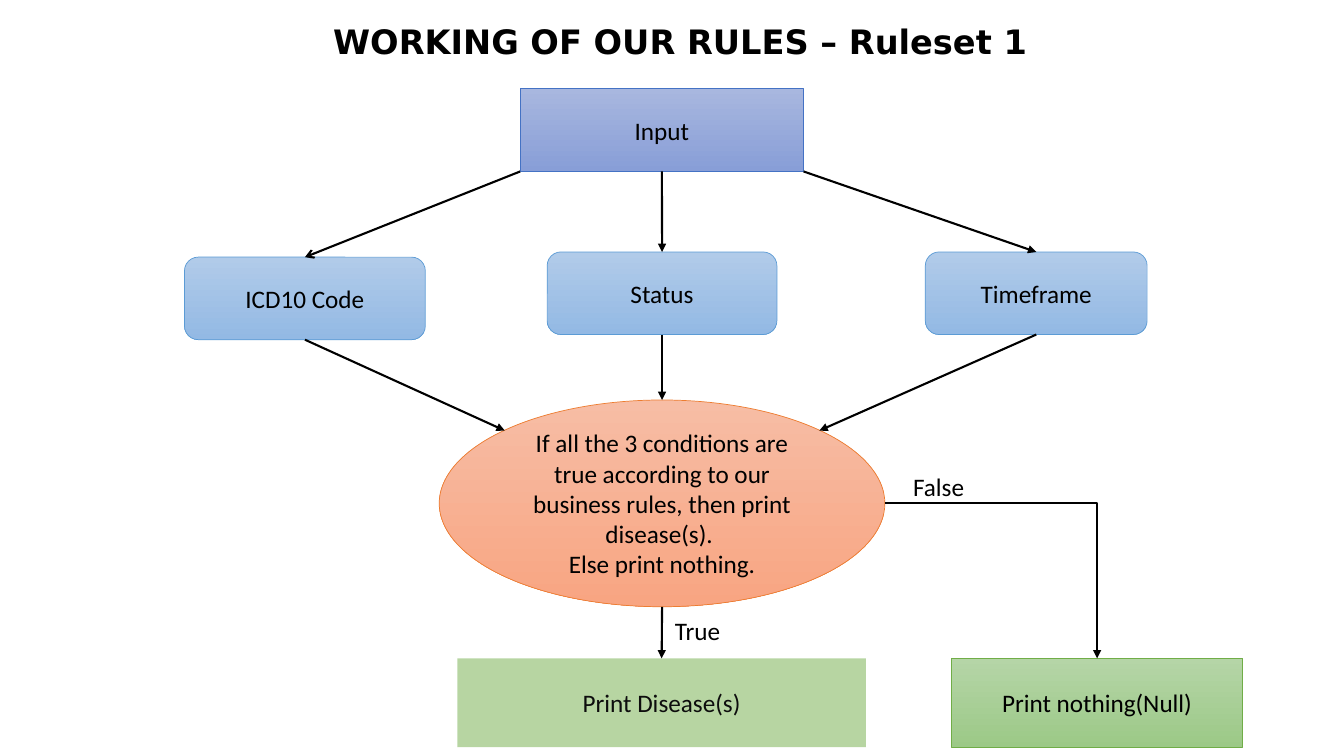
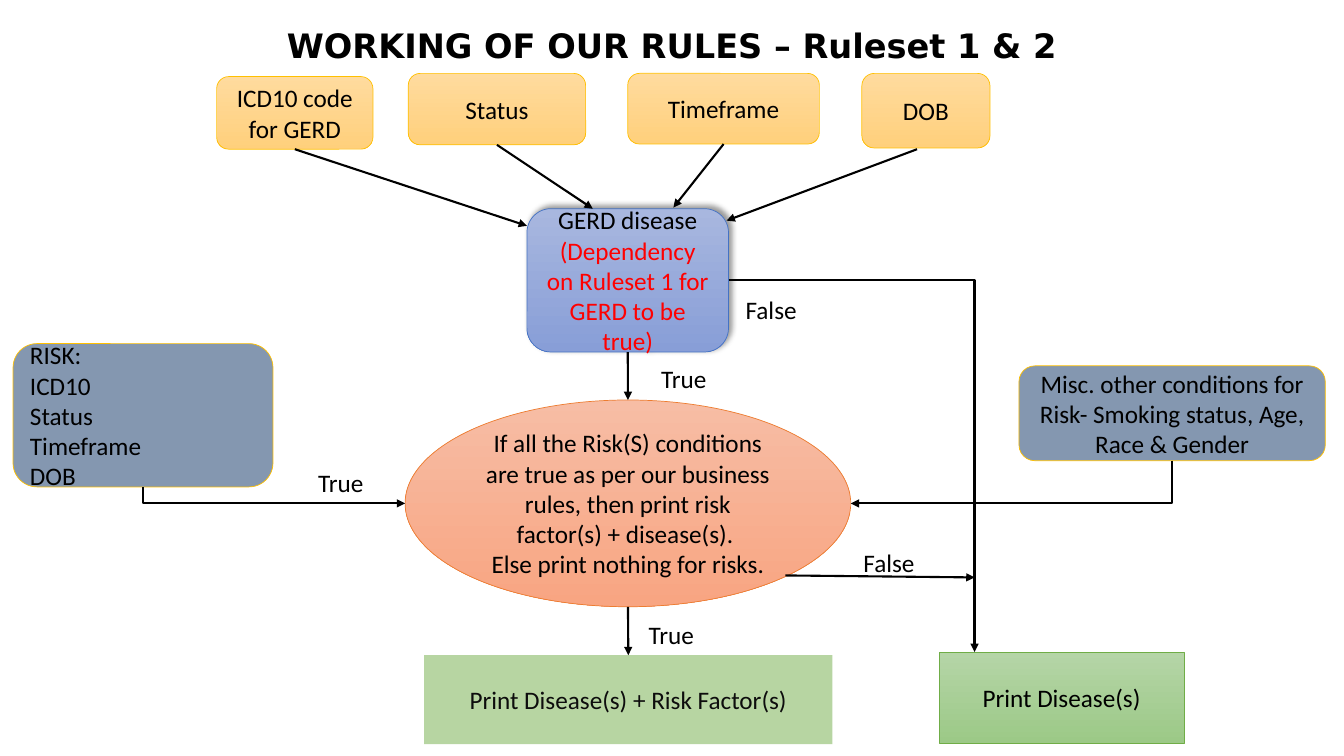
"""Build two flowchart slides that explain the rulesets."""
import lxml.etree
import pptx
import pptx.dml.color
import pptx.enum.shapes
import pptx.enum.text
import pptx.oxml.ns
import pptx.util

Cm = pptx.util.Cm
SHAPE = pptx.enum.shapes.MSO_SHAPE
ALIGN = pptx.enum.text.PP_ALIGN
BLACK = "000000"
TOP, LEFT, BOTTOM, RIGHT = range(4)
LABEL_WIDTHS = {"True": 1.68, "False": 1.8}

STYLES = {
    "input": dict(shape=SHAPE.RECTANGLE, fill=("A8B7DF", "889ED7"), line="4472C4"),
    "condition": dict(shape=SHAPE.ROUNDED_RECTANGLE, fill=("B1CBE9", "93B9E4"), line="5B9BD5"),
    "decision": dict(shape=SHAPE.OVAL, fill=("F7BDA5", "F8A582"), line="ED7D31"),
    "result": dict(shape=SHAPE.RECTANGLE, fill=("70AD47",), alpha=50, color="0D0D0D"),
    "otherwise": dict(shape=SHAPE.FLOWCHART_PROCESS, fill=("B5D5A7", "9CC987"), line="70AD47"),
    "disease": dict(shape=SHAPE.ROUNDED_RECTANGLE, fill=("A8B7DF", "889ED7"), line="4472C4",
                    shadow=True, accent="FF0000"),
    "code": dict(shape=SHAPE.ROUNDED_RECTANGLE, fill=("FFDB9E", "FFD07C"), line="FFC000"),
    "risk": dict(shape=SHAPE.ROUNDED_RECTANGLE, fill=("8497B0",), line="FFC000"),
    "list": dict(shape=SHAPE.ROUNDED_RECTANGLE, fill=("8497B0",), line="FFC000", align=ALIGN.LEFT),
}

SLIDES = [
    {
        "title": ("WORKING OF OUR RULES – Ruleset 1", (2.51, 0.08, 29.26, 2.03)),
        "boxes": {
            "icd": ("condition", "ICD10 Code", (4.65, 6.48, 6.07, 2.08)),
            "status": ("condition", "Status", (13.79, 6.35, 5.79, 2.08)),
            "timeframe": ("condition", "Timeframe", (23.32, 6.35, 5.59, 2.08)),
            "input": ("input", "Input", (13.11, 2.24, 7.14, 2.08)),
            "decision": ("decision",
                         "If all the 3 conditions are true according to our business rules, "
                         "then print disease(s). \nElse print nothing.",
                         (11.07, 10.08, 11.23, 5.21)),
            "result": ("result", "Print Disease(s)", (11.53, 16.59, 10.29, 2.24)),
            "otherwise": ("otherwise", "Print nothing(Null)", (23.98, 16.59, 7.34, 2.24)),
        },
        "labels": [("True", 16.76, 15.39), ("False", 22.76, 11.76)],
        "links": [
            ((13.11, 4.32), ("icd", TOP), "straight", "arrow"),
            (("input", BOTTOM), ("status", TOP)),
            ((20.25, 4.32), ("timeframe", TOP)),
            (("icd", BOTTOM), (12.72, 10.85)),
            (("status", BOTTOM), ("decision", TOP)),
            (("timeframe", BOTTOM), (20.65, 10.85)),
            (("decision", BOTTOM), ("result", TOP)),
            (("decision", RIGHT), ("otherwise", TOP), "across"),
        ],
    },
    {
        "title": ("WORKING OF OUR RULES – Ruleset 1 & 2", (2.26, 0.41, 29.34, 1.6)),
        "boxes": {
            "disease": ("disease",
                        "GERD disease\n(Dependency on Ruleset 1 for GERD to be true)",
                        (13.28, 5.26, 5.08, 3.61)),
            "icd": ("code", "ICD10 code for GERD", (5.46, 1.93, 3.94, 1.83)),
            "status": ("code", "Status", (10.29, 1.85, 4.47, 1.8)),
            "timeframe": ("code", "Timeframe", (15.82, 1.85, 4.83, 1.78)),
            "birth": ("code", "DOB", (21.72, 1.85, 3.23, 1.88)),
            "misc": ("risk",
                     "Misc. other conditions for Risk- Smoking status, Age, Race & Gender",
                     (25.68, 9.22, 7.72, 2.39)),
            "risk": ("list", "RISK: \nICD10\nStatus\nTimeframe\nDOB", (0.33, 8.66, 6.55, 3.61)),
            "decision": ("decision",
                         "If all the Risk(S) conditions are true as per our business rules, "
                         "then print risk factor(s) + disease(s). \nElse print nothing for risks.",
                         (10.21, 10.08, 11.23, 5.21)),
            "result": ("result", "Print Disease(s) + Risk Factor(s)", (10.69, 16.51, 10.29, 2.24)),
            "otherwise": ("otherwise", "Print Disease(s)", (23.67, 16.43, 6.17, 2.29)),
        },
        "labels": [("True", 16.41, 9.02), ("False", 18.54, 7.29), ("True", 7.77, 11.66),
                   ("True", 16.1, 15.47), ("False", 21.51, 13.67)],
        "links": [
            (("icd", BOTTOM), (13.28, 5.69)),
            (("status", BOTTOM), (14.94, 5.26)),
            (("timeframe", BOTTOM), (16.97, 5.23)),
            ((23.11, 3.76), (18.31, 5.56)),
            (("disease", BOTTOM), ("decision", TOP)),
            (("decision", BOTTOM), ("result", TOP)),
            ((19.79, 14.5), (24.56, 14.55)),
            (("disease", RIGHT), (24.56, 16.43), "across"),
            (("misc", BOTTOM), ("decision", RIGHT), "down"),
            (("risk", BOTTOM), ("decision", LEFT), "down"),
        ],
    },
]


def rgb(value):
    return pptx.dml.color.RGBColor.from_string(value)


def add_xml(parent, tag, **attributes):
    return lxml.etree.SubElement(parent, pptx.oxml.ns.qn(tag), attributes)


def find_xml(parent, tag):
    return parent.find(".//" + pptx.oxml.ns.qn(tag))


def format_paragraph(para, align, size=18, font="Calibri", color=BLACK, bold=False):
    para.alignment = align
    for span in para.runs:
        span.font.size = pptx.util.Pt(size)
        span.font.name = font
        span.font.bold = bold
        span.font.color.rgb = rgb(color)


def set_title(page, text, place):
    title = page.shapes.title
    title.left, title.top, title.width, title.height = map(Cm, place)
    title.text_frame.text = text
    title.text_frame.vertical_anchor = pptx.enum.text.MSO_ANCHOR.MIDDLE
    para = title.text_frame.paragraphs[0]
    para.line_spacing = 0.9
    format_paragraph(para, ALIGN.CENTER, 24, "DejaVu Sans", bold=True)


def paint(box, style):
    colors = style["fill"]
    if len(colors) == 2:
        box.fill.gradient()
        box.fill.gradient_angle = 270
        for stop, color in zip(box.fill.gradient_stops, colors):
            stop.color.rgb = rgb(color)
    else:
        box.fill.solid()
        box.fill.fore_color.rgb = rgb(colors[0])
    properties = box._element.spPr
    if "alpha" in style:
        add_xml(find_xml(properties, "a:srgbClr"), "a:alpha", val=str(style["alpha"] * 1000))
    if "line" in style:
        box.line.color.rgb = rgb(style["line"])
        box.line.width = pptx.util.Pt(0.5)
    else:
        box.line.fill.background()
    box.shadow.inherit = False
    if "shadow" in style:
        shadow = add_xml(find_xml(properties, "a:effectLst"), "a:outerShdw",
                         blurRad="50800", dist="38100", dir="18900000")
        add_xml(add_xml(shadow, "a:srgbClr", val=BLACK), "a:alpha", val="40000")


def add_box(page, style_name, text, place):
    style = STYLES[style_name]
    box = page.shapes.add_shape(style["shape"], *map(Cm, place))
    paint(box, style)
    frame = box.text_frame
    frame.text = text
    frame.word_wrap = True
    frame.vertical_anchor = pptx.enum.text.MSO_ANCHOR.MIDDLE
    color = style.get("color", BLACK)
    for para in frame.paragraphs:
        format_paragraph(para, style.get("align", ALIGN.CENTER), color=color)
        color = style.get("accent", color)
    return box


def add_label(page, text, left, top):
    label = page.shapes.add_textbox(Cm(left), Cm(top), Cm(LABEL_WIDTHS[text]), Cm(1.02))
    label.text_frame.text = text
    label.text_frame.word_wrap = False
    label.text_frame.auto_size = pptx.enum.text.MSO_AUTO_SIZE.SHAPE_TO_FIT_TEXT
    format_paragraph(label.text_frame.paragraphs[0], ALIGN.LEFT)


def join(connector, boxes, end, connect, tag):
    """Join one end to a box side; an oval counts eight sites where a rectangle has four."""
    if end[0] in boxes:
        box = boxes[end[0]]
        connect(box, end[1])
        if box.auto_shape_type == SHAPE.OVAL:
            find_xml(connector._element, tag).set("idx", str(end[1] * 2))


def bend(connector, route):
    """Give the connector a single corner, leaving its start across or down."""
    properties = connector._element.spPr
    find_xml(properties, "a:prstGeom").set("prst", "bentConnector2")
    if route == "down":
        frame = find_xml(properties, "a:xfrm")
        leftward = connector.end_x < connector.begin_x
        left, top, width, height = connector.left, connector.top, connector.width, connector.height
        connector.left = left + (width - height) // 2
        connector.top = top + (height - width) // 2
        connector.width, connector.height = height, width
        frame.set("rot", "5400000" if leftward else "16200000")
        frame.set("flipH", "0" if leftward else "1")


def add_link(page, boxes, start, end, route="straight", head="triangle"):
    kinds = pptx.enum.shapes.MSO_CONNECTOR
    kind = kinds.STRAIGHT if route == "straight" else kinds.ELBOW
    points = [(0, 0) if spot[0] in boxes else spot for spot in (start, end)]
    connector = page.shapes.add_connector(kind, *(Cm(value) for point in points for value in point))
    join(connector, boxes, start, connector.begin_connect, "a:stCxn")
    join(connector, boxes, end, connector.end_connect, "a:endCxn")
    if route != "straight":
        bend(connector, route)
    connector.line.color.rgb = rgb(BLACK)
    connector.line.width = pptx.util.Pt(1.5)
    properties = connector._element.spPr
    add_xml(find_xml(properties, "a:ln"), "a:tailEnd", type=head)
    add_xml(properties, "a:effectLst")


def main():
    deck = pptx.Presentation()
    deck.slide_width, deck.slide_height = Cm(33.87), Cm(19.05)
    for content in SLIDES:
        page = deck.slides.add_slide(deck.slide_layouts[5])
        set_title(page, *content["title"])
        boxes = {name: add_box(page, *box) for name, box in content["boxes"].items()}
        for link in content["links"]:
            add_link(page, boxes, *link)
        for label in content["labels"]:
            add_label(page, *label)
    deck.save("out.pptx")


if __name__ == "__main__":
    main()
